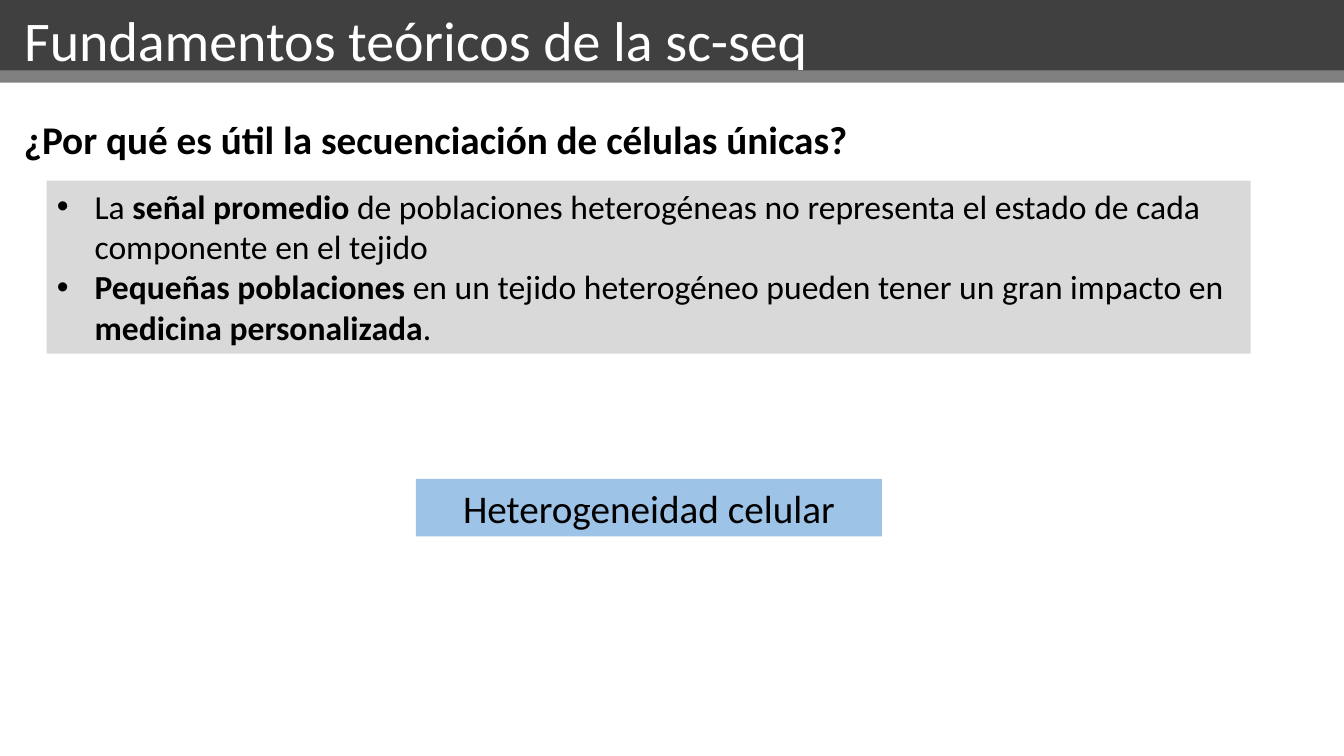
from pptx import Presentation
from pptx.dml.color import RGBColor
from pptx.enum import shapes, text
from pptx.util import Pt

COLORS = {"white": "FFFFFF", "black": "000000", "dark": "404040",
          "gray": "808080", "light": "D9D9D9", "blue": "9DC3E6"}


def place(shape, left, top, width, height, fill=None):
    shape.left, shape.top, shape.width, shape.height = map(Pt, (left, top, width, height))
    if fill:
        shape.fill.solid()
        shape.fill.fore_color.rgb = RGBColor.from_string(COLORS[fill])


def write(shape, paragraphs, size, color="black", align=text.PP_ALIGN.LEFT,
          anchor=text.MSO_ANCHOR.TOP, wrap=True):
    frame = shape.text_frame
    frame.word_wrap = wrap
    frame.auto_size = text.MSO_AUTO_SIZE.NONE
    frame.vertical_anchor = anchor
    for index, runs in enumerate(paragraphs):
        paragraph = frame.add_paragraph() if index else frame.paragraphs[0]
        paragraph.alignment = align
        paragraph.space_before = Pt(0)
        paragraph.font.name = "Calibri"
        paragraph.font.size = Pt(size)
        paragraph.font.color.rgb = RGBColor.from_string(COLORS[color])
        for words, bold in runs:
            run = paragraph.add_run()
            run.text = words
            run.font.bold = bold


presentation = Presentation()
presentation.slide_width = Pt(960)
presentation.slide_height = Pt(540)
slide = presentation.slides.add_slide(presentation.slide_layouts[1])
title, reasons = slide.placeholders

for height, fill in ((59, "gray"), (50.4, "dark")):
    band = slide.shapes.add_shape(shapes.MSO_SHAPE.RECTANGLE, 0, 0, 0, 0)
    place(band, 0, 0, 960, height, fill)
    band.line.fill.background()
    band.shadow.inherit = False
    title.element.addprevious(band.element)

place(title, 10, 0, 580, 55.6)
write(title, [[("Fundamentos teóricos de la sc-seq", False)]], 40, "white", wrap=False)

question = slide.shapes.add_textbox(0, 0, 0, 0)
place(question, 10, 78.5, 920, 41)
write(question, [[("¿Por qué es útil la secuenciación de células únicas?", True)]], 28)

place(reasons, 33.4, 129, 860, 123.6, "light")
write(reasons, [
    [("La ", False), ("señal promedio ", True),
     ("de poblaciones heterogéneas no representa el estado de cada componente en el tejido", False)],
    [("Pequeñas poblaciones ", True),
     ("en un tejido heterogéneo pueden tener un gran impacto en ", False),
     ("medicina personalizada", True), (".", False)],
], 24)

concept = slide.shapes.add_shape(shapes.MSO_SHAPE.RECTANGLE, 0, 0, 0, 0)
place(concept, 297, 342, 333, 41.2, "blue")
concept.line.fill.background()
concept.shadow.inherit = False
write(concept, [[("Heterogeneidad celular", False)]], 28,
      align=text.PP_ALIGN.CENTER, anchor=text.MSO_ANCHOR.MIDDLE)

presentation.save("out.pptx")
